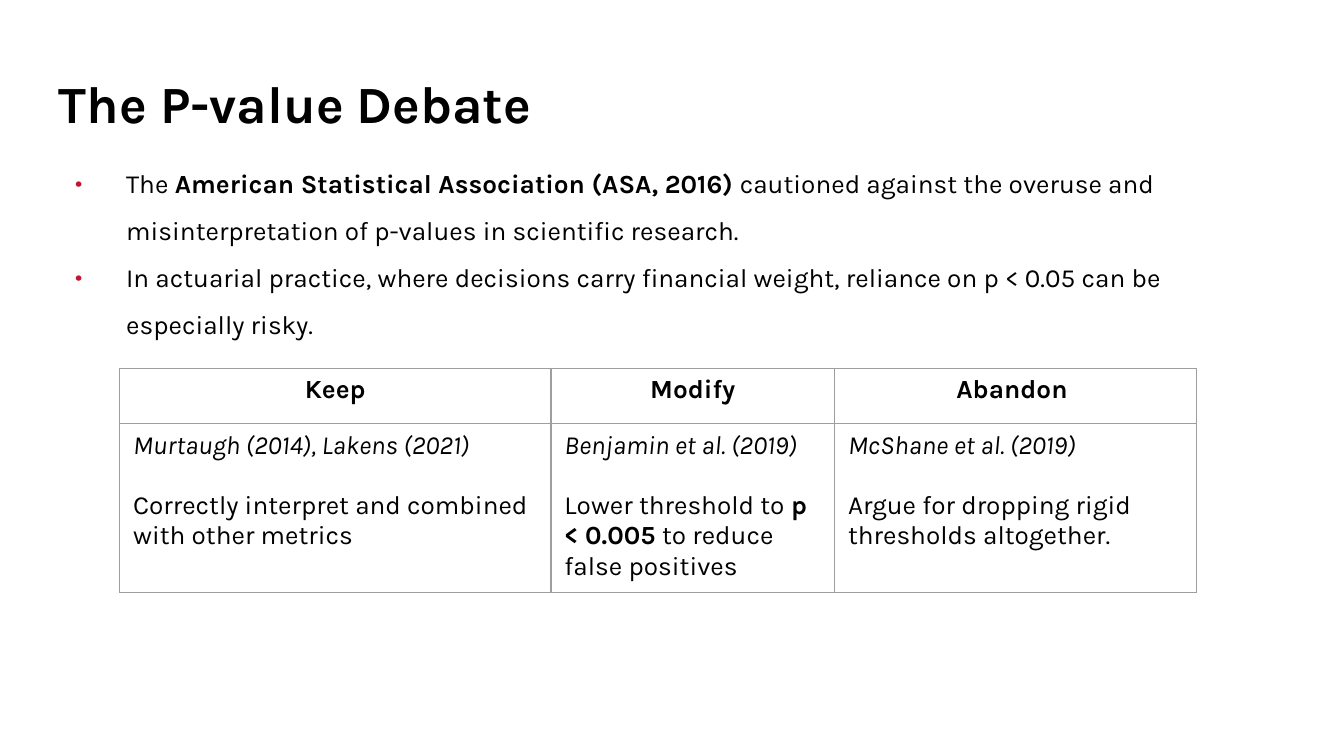
from pptx import Presentation
from pptx.dml.color import RGBColor
from pptx.enum.text import MSO_ANCHOR as Anchor, PP_ALIGN as Align
from pptx.oxml.ns import qn
from pptx.util import Inches, Pt
from lxml.etree import SubElement

COLORS = {"text": "000000", "bullet": "C41230", "border": "9E9E9E"}
FONT = "Karla"
BODY_SIZE = 14

BULLETS = [
    [("The ", ""), ("American Statistical Association (ASA, 2016)", "b"),
     (" cautioned against the overuse and misinterpretation of p-values "
      "in scientific research.", "")],
    [("In actuarial practice, where decisions carry financial weight, "
      "reliance on p < 0.05 can be especially risky.", "")],
]
# Heading, column width, cited authors, position on p-values
POSITIONS = [
    ("Keep", 3.21, "Murtaugh (2014), Lakens (2021)",
     [("Correctly interpret and combined with other metrics", "")]),
    ("Modify", 2.11, "Benjamin et al. (2019)",
     [("Lower threshold to ", ""), ("p < 0.005", "b"),
      (" to reduce false positives", "")]),
    ("Abandon ", 2.69, "McShane et al. (2019)",
     [("Argue for dropping rigid thresholds altogether.", "")]),
]


def add_bullet(paragraph):
    properties = paragraph._p.get_or_add_pPr()
    properties.set("marL", str(Inches(0.5)))
    properties.set("indent", str(Inches(-0.38)))
    color = SubElement(properties, qn("a:buClr"))
    SubElement(color, qn("a:srgbClr"), val=COLORS["bullet"])
    SubElement(properties, qn("a:buFont"), typeface=FONT)
    SubElement(properties, qn("a:buChar"), char="•")


def write(paragraph, runs, size=BODY_SIZE, align=Align.LEFT, line_spacing=None,
          space_before=None, bullet=False):
    """Fill a paragraph with (text, style) runs; style holds b and i flags."""
    if bullet:
        add_bullet(paragraph)
    paragraph.alignment = align
    if line_spacing:
        paragraph.line_spacing = line_spacing
    if space_before:
        paragraph.space_before = Pt(space_before)
    for text, style in runs:
        run = paragraph.add_run()
        run.text = text
        font = run.font
        font.name, font.size = FONT, Pt(size)
        font.bold, font.italic = "b" in style, "i" in style
        font.color.rgb = RGBColor.from_string(COLORS["text"])


def add_text_frame(slide, left, top, width, height, anchor=Anchor.TOP):
    box = slide.shapes.add_textbox(Inches(left), Inches(top),
                                   Inches(width), Inches(height))
    frame = box.text_frame
    frame.word_wrap = True
    frame.vertical_anchor = anchor
    frame.margin_left = frame.margin_right = Inches(0.1)
    frame.margin_top = frame.margin_bottom = Inches(0.1)
    return frame


def add_title(slide, left, top, width, height):
    frame = add_text_frame(slide, left, top, width, height, Anchor.MIDDLE)
    write(frame.paragraphs[0], [("The P-value Debate", "b")], size=28,
          line_spacing=0.9)


def add_bullet_list(slide, left, top, width, height):
    frame = add_text_frame(slide, left, top, width, height)
    for index, runs in enumerate(BULLETS):
        paragraph = frame.add_paragraph() if index else frame.paragraphs[0]
        write(paragraph, runs, line_spacing=1.5, bullet=True)


def style_cell(cell):
    """Give a cell thin grey borders and no fill."""
    properties = cell._tc.get_or_add_tcPr()
    for side in ("L", "R", "T", "B"):
        line = SubElement(properties, qn(f"a:ln{side}"), w=str(Pt(0.75)))
        fill = SubElement(line, qn("a:solidFill"))
        SubElement(fill, qn("a:srgbClr"), val=COLORS["border"])
    cell.fill.background()


def add_positions_table(slide, left, top, row_heights):
    width = sum(position[1] for position in POSITIONS)
    table = slide.shapes.add_table(
        len(row_heights), len(POSITIONS), Inches(left), Inches(top),
        Inches(width), Inches(sum(row_heights))).table
    table.first_row = table.horz_banding = False
    for row, height in zip(table.rows, row_heights):
        row.height = Inches(height)
    for index, (heading, column_width, authors, view) in enumerate(POSITIONS):
        table.columns[index].width = Inches(column_width)
        heading_cell, view_cell = table.cell(0, index), table.cell(1, index)
        write(heading_cell.text_frame.paragraphs[0], [(heading, "b")],
              align=Align.CENTER)
        frame = view_cell.text_frame
        write(frame.paragraphs[0], [(authors, "i")])
        write(frame.add_paragraph(), view, space_before=16)
        style_cell(heading_cell)
        style_cell(view_cell)


def main():
    presentation = Presentation()
    presentation.slide_width = Inches(10)
    presentation.slide_height = Inches(10 * 9 / 16)
    slide = presentation.slides.add_slide(presentation.slide_layouts[6])
    add_title(slide, 0.34, 0.48, 9.32, 0.63)
    add_bullet_list(slide, 0.34, 1.03, 9.32, 4.47)
    add_positions_table(slide, 0.89, 2.74, [0.41, 1.23])
    presentation.save("out.pptx")


if __name__ == "__main__":
    main()
